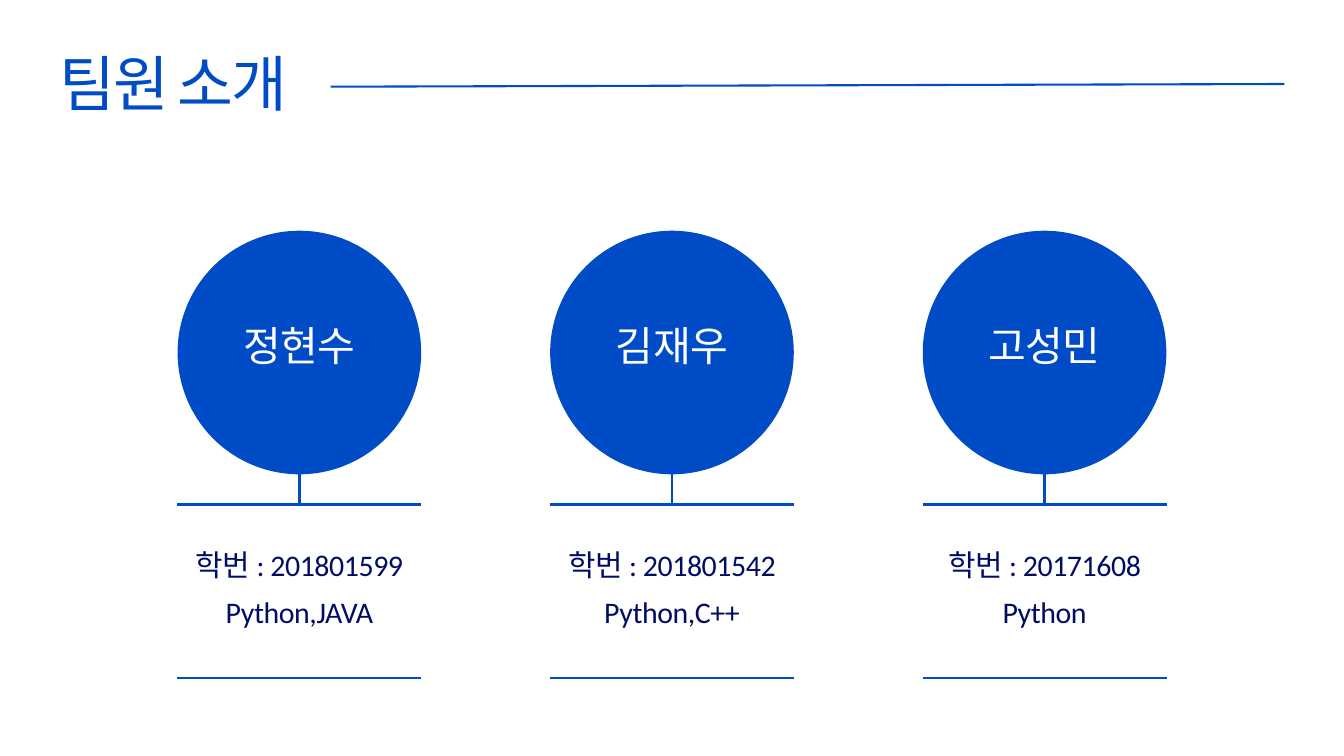
from dataclasses import dataclass

from lxml import etree
from pptx import Presentation
from pptx.dml.color import RGBColor
from pptx.enum.shapes import MSO_CONNECTOR, MSO_SHAPE
from pptx.enum.text import PP_ALIGN
from pptx.oxml.ns import qn
from pptx.util import Pt

OVAL = MSO_SHAPE.OVAL
STRAIGHT = MSO_CONNECTOR.STRAIGHT
LEFT = PP_ALIGN.LEFT
CENTER = PP_ALIGN.CENTER


@dataclass(frozen=True)
class TextStyle:
    size: float
    color: RGBColor
    line_spacing: float
    tracking: float
    align: PP_ALIGN = CENTER
    space_between: float = 0


@dataclass(frozen=True)
class Theme:
    font: str = "Calibri"
    blue: RGBColor = RGBColor(0x00, 0x4C, 0xC7)
    title: TextStyle = TextStyle(65, RGBColor(0x00, 0x4C, 0xC7), 74.8, -2.6, LEFT)
    name: TextStyle = TextStyle(44, RGBColor(0xFF, 0xFF, 0xFF), 33.6, -0.7)
    detail: TextStyle = TextStyle(32, RGBColor(0x00, 0x0D, 0x64), 25.2, -0.5,
                                  space_between=25.2)


THEME = Theme()

SLIDE_WIDTH, SLIDE_HEIGHT = 1440, 810
COLUMN_WIDTH = 261.5
COLUMN_PITCH = 399.2
CIRCLE_TOP = 247.2
CIRCLE_SIZE = 261
RULE_TOP = 540.7
RULE_BOTTOM = 726.5

MEMBERS = [
    ("정현수", "학번 : 201801599", "Python,JAVA"),
    ("김재우", "학번 : 201801542", "Python,C++"),
    ("고성민", "학번 : 20171608", "Python"),
]


def add_text(slide, left, top, width, height, lines, style):
    """Add a text box with no insets, one paragraph for each line."""
    box = slide.shapes.add_textbox(Pt(left), Pt(top), Pt(width), Pt(height))
    frame = box.text_frame
    frame.word_wrap = True
    frame.margin_left = frame.margin_right = 0
    frame.margin_top = frame.margin_bottom = 0
    for index, line in enumerate(lines):
        paragraph = frame.add_paragraph() if index else frame.paragraphs[0]
        paragraph.alignment = style.align
        paragraph.line_spacing = Pt(style.line_spacing)
        if index:
            paragraph.space_before = Pt(style.space_between)
        run = paragraph.add_run()
        run.text = line
        run.font.name = THEME.font
        run.font.size = Pt(style.size)
        run.font.color.rgb = style.color
        run._r.get_or_add_rPr().set("spc", str(round(style.tracking * 100)))


def add_line(slide, start, end, weight=3):
    x1, y1 = start
    x2, y2 = end
    line = slide.shapes.add_connector(STRAIGHT, Pt(x1), Pt(y1), Pt(x2), Pt(y2))
    line.line.color.rgb = THEME.blue
    line.line.width = Pt(weight)
    etree.SubElement(line._element.spPr, qn("a:effectLst"))


def add_circle(slide, center, top, size):
    circle = slide.shapes.add_shape(OVAL, Pt(center - size / 2), Pt(top),
                                    Pt(size), Pt(size))
    circle.shadow.inherit = False
    circle.fill.solid()
    circle.fill.fore_color.rgb = THEME.blue
    circle.line.fill.background()


def add_member(slide, center, name, *details):
    """Add one column: name circle, stem, and details between two rules."""
    left, right = center - COLUMN_WIDTH / 2, center + COLUMN_WIDTH / 2
    add_circle(slide, center, CIRCLE_TOP, CIRCLE_SIZE)
    add_line(slide, (center, RULE_TOP), (center, CIRCLE_TOP + CIRCLE_SIZE))
    for y in (RULE_TOP, RULE_BOTTOM):
        add_line(slide, (left, y), (right, y))
    add_text(slide, left, 362.2, COLUMN_WIDTH, 36.7, [name], THEME.name)
    add_text(slide, left, 599, COLUMN_WIDTH, 75.6, details, THEME.detail)


def main():
    presentation = Presentation()
    presentation.slide_width = Pt(SLIDE_WIDTH)
    presentation.slide_height = Pt(SLIDE_HEIGHT)
    slide = presentation.slides.add_slide(presentation.slide_layouts[6])

    add_text(slide, 64, 51.8, 778, 75.6, ["팀원 소개"], THEME.title)
    add_line(slide, (354.2, 92.9), (1376, 90), weight=2.25)

    middle = (len(MEMBERS) - 1) / 2
    for index, member in enumerate(MEMBERS):
        center = SLIDE_WIDTH / 2 + (index - middle) * COLUMN_PITCH
        add_member(slide, center, *member)

    presentation.save("out.pptx")


if __name__ == "__main__":
    main()
